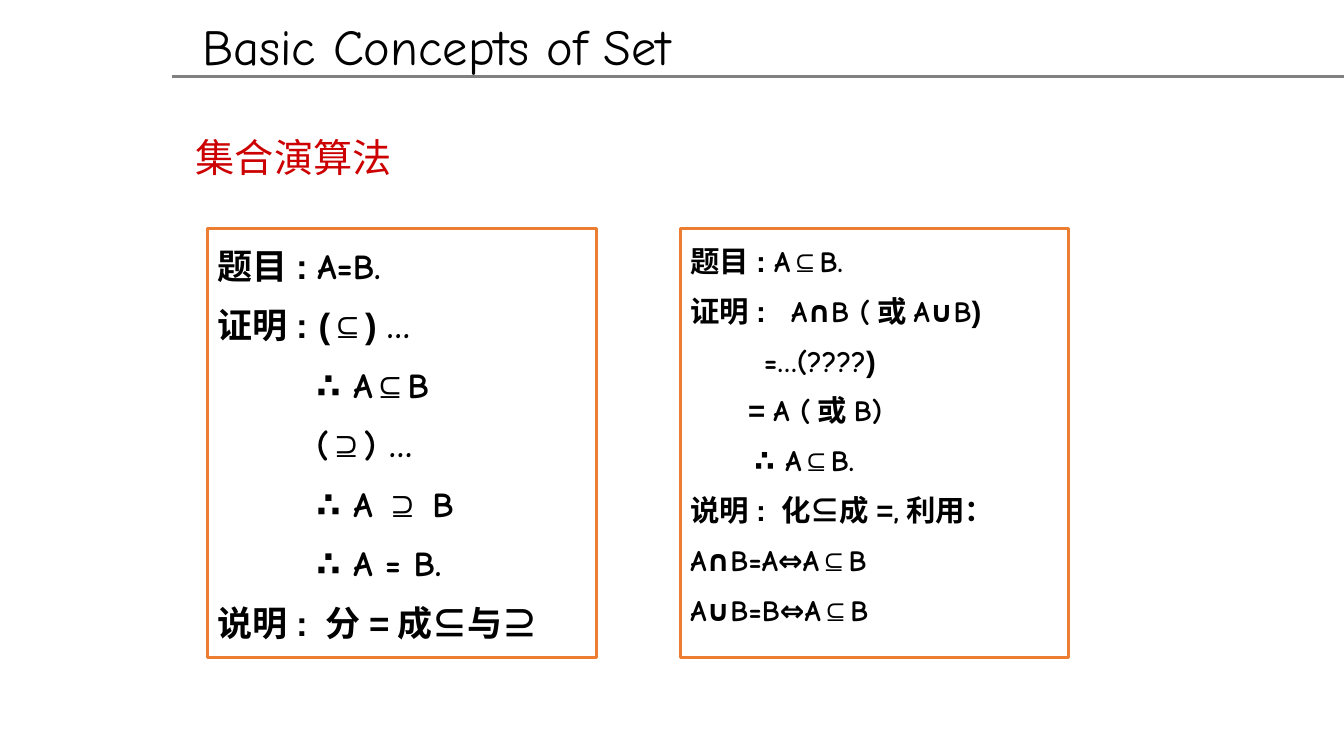
from dataclasses import dataclass

from lxml import etree
from pptx import Presentation
from pptx.dml.color import RGBColor
from pptx.enum.shapes import MSO_CONNECTOR, MSO_SHAPE
from pptx.enum.text import MSO_ANCHOR, PP_ALIGN
from pptx.oxml.ns import qn
from pptx.util import Pt

STRAIGHT = MSO_CONNECTOR.STRAIGHT
RECTANGLE = MSO_SHAPE.RECTANGLE
TOP = MSO_ANCHOR.TOP
LEFT = PP_ALIGN.LEFT
TITLE_ONLY = 5
EMU_PER_PX = 9525


@dataclass(frozen=True)
class Theme:
    ink: str = "000000"
    rule: str = "808080"
    method: str = "CC0000"
    frame: str = "ED7D31"
    label_font: str = "Arial"
    formula_font: str = "Comic Neue"
    chinese_font: str = "Noto Sans CJK SC"
    title_size: int = 36
    method_size: int = 28
    equality_size: int = 25
    inclusion_size: int = 21


THEME = Theme()

# Each line is (indent in px, text). A "|" switches between label and formula font.
EQUALITY_PROOF = [
    (0, "题目: |A=B."),
    (0, "证明:\t(⊆) |…"),
    (94, "|∴ A|⊆|B"),
    (94, "|(|⊇|) …"),
    (94, "|∴ A |⊇| B"),
    (94, "|∴ A = B."),
    (0, "说明: 分=成⊆与⊇"),
]
INCLUSION_PROOF = [
    (0, "题目: |A|⊆|B."),
    (0, "证明:\t|A∩B (|或|A∪B|)"),
    (70, "|=…(????|)"),
    (55, "= |A (|或|B)"),
    (61, "|∴ A|⊆|B."),
    (0, "说明: 化⊆成=|,|利用："),
    (0, "|A∩B=A⇔A|⊆|B"),
    (0, "|A∪B=B⇔A|⊆|B"),
]


def px(count):
    return round(count * EMU_PER_PX)


def place(shape, left, top, width, height):
    shape.left, shape.top = px(left), px(top)
    shape.width, shape.height = px(width), px(height)


def style_span(span, font, size, color, bold=False):
    span.font.name = font
    span.font.size = Pt(size)
    span.font.bold = bold
    span.font.color.rgb = RGBColor.from_string(color)
    east_asian = etree.SubElement(span.font._element, qn("a:ea"))
    east_asian.set("typeface", THEME.chinese_font)


def write_line(shape, text, font, size, color):
    """Fill a shape with one left-aligned line and return its paragraph."""
    frame = shape.text_frame
    frame.text = text
    frame.word_wrap = True
    frame.vertical_anchor = TOP
    para = frame.paragraphs[0]
    para.alignment = LEFT
    style_span(para.runs[0], font, size, color)
    return para


def add_header_rule(page):
    rule = page.shapes.add_connector(STRAIGHT, px(164), px(73), px(1280), px(73))
    rule.line.color.rgb = RGBColor.from_string(THEME.rule)
    rule.line.width = Pt(2)
    etree.SubElement(rule._element.spPr, qn("a:effectLst"))


def set_title(page, text):
    title = page.shapes.title
    place(title, 183, 10, 605, 68)
    para = write_line(title, text, THEME.formula_font, THEME.title_size, THEME.ink)
    para.line_spacing = 1.0
    para.space_before = Pt(0)


def add_method_name(page, text):
    box = page.shapes.add_textbox(px(177), px(127), px(880), px(424))
    para = write_line(box, text, THEME.chinese_font, THEME.method_size, THEME.method)
    para.line_spacing = 0.9
    para.space_before = Pt(10)


def space_proof_line(para, indent, tab):
    """Set the indent, the relative spacing and the tab stop after a label."""
    para.alignment = LEFT
    para.line_spacing = 1.25
    properties = para._p.get_or_add_pPr()
    properties.set("marL", str(px(indent)))
    properties.set("indent", "0")
    before = etree.SubElement(properties, qn("a:spcBef"))
    etree.SubElement(before, qn("a:spcPct")).set("val", "20000")
    if tab:
        stops = etree.SubElement(properties, qn("a:tabLst"))
        stop = etree.SubElement(stops, qn("a:tab"))
        stop.set("pos", str(px(tab)))
        stop.set("algn", "l")


def add_proof(page, left, lines, size, tab):
    box = page.shapes.add_shape(RECTANGLE, px(left), px(218), px(370), px(408))
    box.shadow.inherit = False
    box.fill.background()
    box.line.color.rgb = RGBColor.from_string(THEME.frame)
    box.line.width = Pt(2.25)
    frame = box.text_frame
    frame.word_wrap = True
    frame.vertical_anchor = TOP
    fonts = (THEME.label_font, THEME.formula_font)
    for number, (indent, text) in enumerate(lines):
        para = frame.add_paragraph() if number else frame.paragraphs[0]
        space_proof_line(para, indent, tab if "\t" in text else None)
        for position, part in enumerate(text.split("|")):
            if part:
                span = para.add_run()
                span.text = part
                style_span(span, fonts[position % 2], size, THEME.ink, True)


def main():
    deck = Presentation()
    deck.slide_width, deck.slide_height = px(1280), px(720)
    page = deck.slides.add_slide(deck.slide_layouts[TITLE_ONLY])
    add_header_rule(page)
    set_title(page, "Basic Concepts of Set")
    add_method_name(page, "集合演算法")
    add_proof(page, 198, EQUALITY_PROOF, THEME.equality_size, tab=110)
    add_proof(page, 648, INCLUSION_PROOF, THEME.inclusion_size, tab=94)
    deck.save("out.pptx")


if __name__ == "__main__":
    main()
